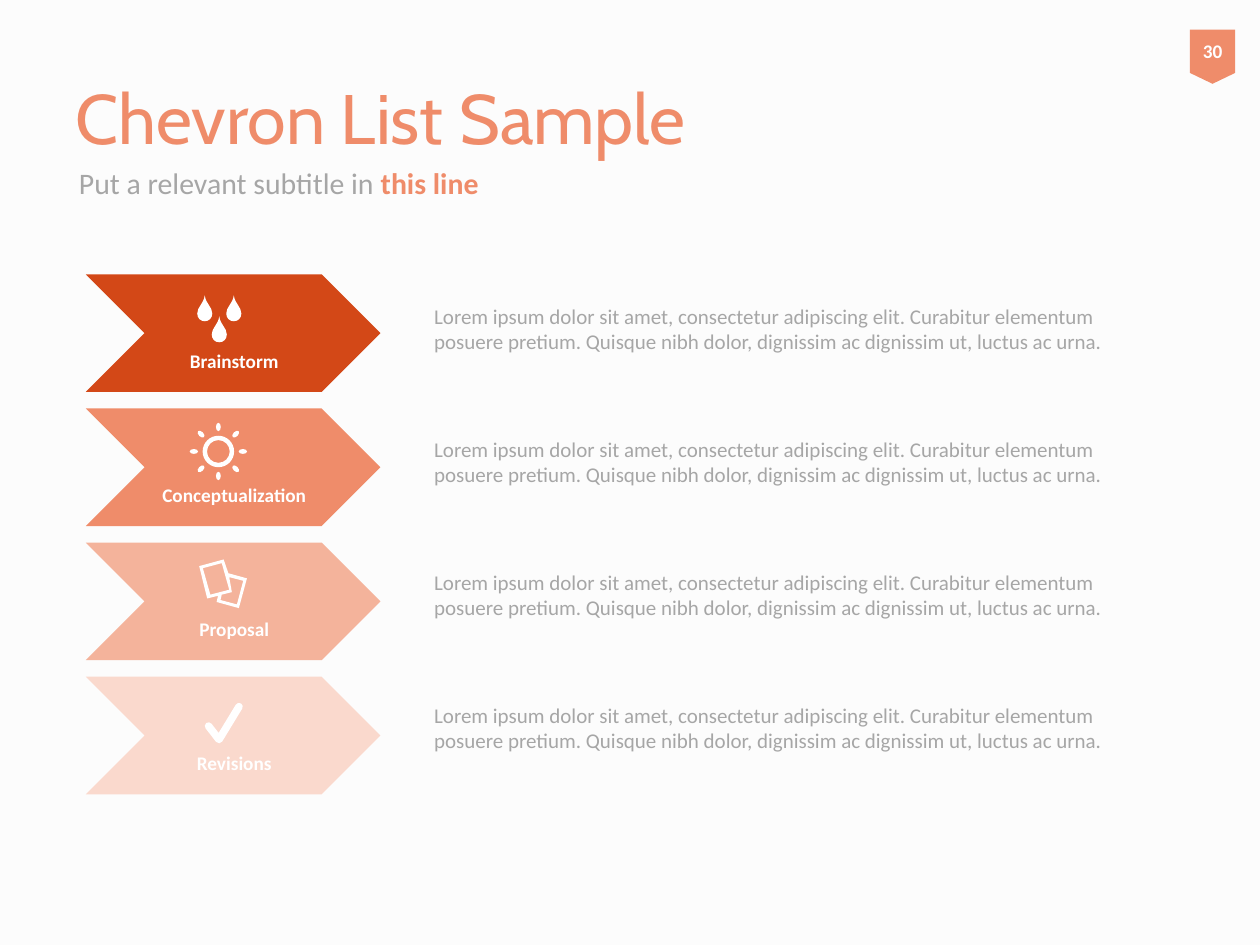
from math import cos, pi, sin

from lxml.etree import SubElement
from pptx import Presentation
from pptx.dml.color import RGBColor
from pptx.enum.shapes import MSO_SHAPE as Kind
from pptx.enum.text import MSO_ANCHOR as Anchor, PP_ALIGN as Align
from pptx.oxml.ns import qn
from pptx.util import Pt

CORAL, GREY, WHITE = "EF8C6A", "A6A6A6", "FFFFFF"
STEPS = [
    ("Brainstorm", "D34817"),
    ("Conceptualization", CORAL),
    ("Proposal", "F4B39B"),
    ("Revisions", "FAD9CD"),
]
BODY = (
    "Lorem ipsum dolor sit amet, consectetur adipiscing elit. "
    "Curabitur elementum posuere pretium. Quisque nibh dolor, "
    "dignissim ac dignissim ut, luctus ac urna."
)
LEFT, TOP, PITCH = 49, 156.75, 76.65
WIDE, HIGH = 168.4, 67.2
BODY_TOP, BODY_PITCH = 169.8, 76.05
FINE = 100  # path units in a point


def paint(fmt, color):
    fmt.solid()
    fmt.fore_color.rgb = RGBColor.from_string(color)


def style(font, size, color, bold=False, name="Calibri"):
    font.size, font.name, font.bold = Pt(size), name, bold
    font.color.rgb = RGBColor.from_string(color)


def add_text(slide, box, text, size, color, anchor=Anchor.MIDDLE, **look):
    frame = slide.shapes.add_textbox(*map(Pt, box)).text_frame
    frame.word_wrap = True
    frame.vertical_anchor = anchor
    para = frame.paragraphs[0]
    para.text = text
    style(para.font, size, color, **look)
    return frame


def add_shape(slide, kind, box, color):
    shape = slide.shapes.add_shape(kind, *map(Pt, box))
    shape.shadow.inherit = False
    paint(shape.fill, color)
    shape.line.fill.background()
    return shape


def add_path(slide, loops, close=True):
    """Draw loops of points as one white shape; inner loops are holes."""
    pen = None
    for loop in loops:
        start, *rest = [(x * FINE, y * FINE) for x, y in loop]
        if pen:
            pen.move_to(*start)
        else:
            pen = slide.shapes.build_freeform(*start, scale=Pt(1) / FINE)
        pen.add_line_segments(rest, close=close)
    shape = pen.convert_to_shape()
    shape.shadow.inherit = False
    paint(shape.fill, WHITE)
    shape.line.fill.background()
    return shape


def add_curves(slide, loops):
    """Like add_path, with every three points after the start as a cubic."""
    shape = add_path(slide, loops)
    lines = list(shape.element.iter(qn("a:lnTo")))
    for i in range(0, len(lines), 3):
        cubic = lines[i]
        cubic.tag = qn("a:cubicBezTo")
        for line in lines[i + 1:i + 3]:
            cubic.append(line[0])
            line.getparent().remove(line)


def oval(x, y, rx, ry, turn=0):
    k = 0.55
    ring = [(1, 0), (1, k), (k, 1), (0, 1), (-k, 1), (-1, k), (-1, 0),
            (-1, -k), (-k, -1), (0, -1), (k, -1), (1, -k), (1, 0)]
    return [(x + rx * u * cos(turn) - ry * v * sin(turn),
             y + rx * u * sin(turn) + ry * v * cos(turn)) for u, v in ring]


def draw_drops(slide):
    side = [(0, 0), (0.7, 5), (4.3, 6.5), (4.3, 10.4),
            (4.3, 13), (2.4, 14.8), (0, 14.8)]
    drop = side + [(-x, y) for x, y in side[-2::-1]]
    tips = [(117, 168.8), (133.6, 168.8), (125.3, 180.8)]
    add_curves(slide, [[(x + dx, y + dy) for dx, dy in drop] for x, y in tips])


def draw_sun(slide):
    x, y = 124.8, 258
    loops = [oval(x, y, r, r) for r in (9, 6.5)]
    for i in range(8):
        a = i * pi / 4
        loops.append(oval(x + 14 * cos(a), y + 14 * sin(a), 2.4, 1.4, a))
    add_curves(slide, loops)


def draw_pages(slide):
    rim = [(127.8, 319.7), (113.8, 323.5), (118.4, 342), (124.6, 340.5),
           (123.8, 344), (136.5, 347.5), (141.1, 330.5), (130.5, 327.6)]
    front = [(115.9, 324.7), (126.7, 321.8), (131, 337), (120.2, 339.8)]
    back = [(135.4, 345.4), (126, 342.9), (126.7, 339.8),
            (132.5, 338.4), (131, 329.8), (139, 331.9)]
    add_path(slide, [rim, front, back])


def draw_check(slide):
    check = add_path(slide, [[(119.2, 414.9), (125.2, 422.6), (136.6, 403.8)]],
                     close=False)
    check.fill.background()
    paint(check.line.fill, WHITE)
    check.line.width = Pt(4.3)
    line = check.element.spPr.find(qn("a:ln"))
    line.set("cap", "rnd")
    SubElement(line, qn("a:round"))


def add_step(slide, index, label, color):
    y = TOP + index * PITCH
    add_shape(slide, Kind.CHEVRON, (LEFT, y, WIDE, HIGH), color)
    frame = add_text(slide, (82.8, y, 100.8, HIGH), label, 11, WHITE, bold=True)
    frame.margin_left, frame.margin_right = Pt(1.4), 0
    frame.margin_top, frame.margin_bottom = Pt(33), 0
    para = frame.paragraphs[0]
    para.alignment, para.line_spacing = Align.CENTER, 0.9
    add_text(slide, (241, BODY_TOP + index * BODY_PITCH, 430.6, 43.9),
             BODY, 12, GREY, Anchor.TOP)


def add_badge(slide, number):
    badge = add_shape(slide, Kind.FLOWCHART_OFFPAGE_CONNECTOR,
                      (680, 16.9, 25.8, 31), CORAL)
    frame = badge.text_frame
    frame.margin_left = frame.margin_right = 0
    frame.margin_top = frame.margin_bottom = 0
    frame.vertical_anchor = Anchor.MIDDLE
    para = frame.paragraphs[0]
    para.text, para.alignment = number, Align.CENTER
    style(para.font, 11, WHITE, bold=True)


def main():
    deck = Presentation()
    deck.slide_width, deck.slide_height = Pt(720), Pt(540)
    slide = deck.slides.add_slide(deck.slide_layouts[6])
    paint(slide.background.fill, "FCFCFC")

    add_text(slide, (36, 21.6, 635.8, 90), "Chevron List Sample", 40, CORAL,
             name="Cabin")
    frame = add_text(slide, (38, 85, 356.4, 38.2),
                     "Put a relevant subtitle in ", 17, GREY)
    run = frame.paragraphs[0].add_run()
    run.text = "this line"
    style(run.font, 17, CORAL, bold=True)

    for index, (label, color) in enumerate(STEPS):
        add_step(slide, index, label, color)
    for draw in (draw_drops, draw_sun, draw_pages, draw_check):
        draw(slide)
    add_badge(slide, "30")
    deck.save("out.pptx")


if __name__ == "__main__":
    main()
